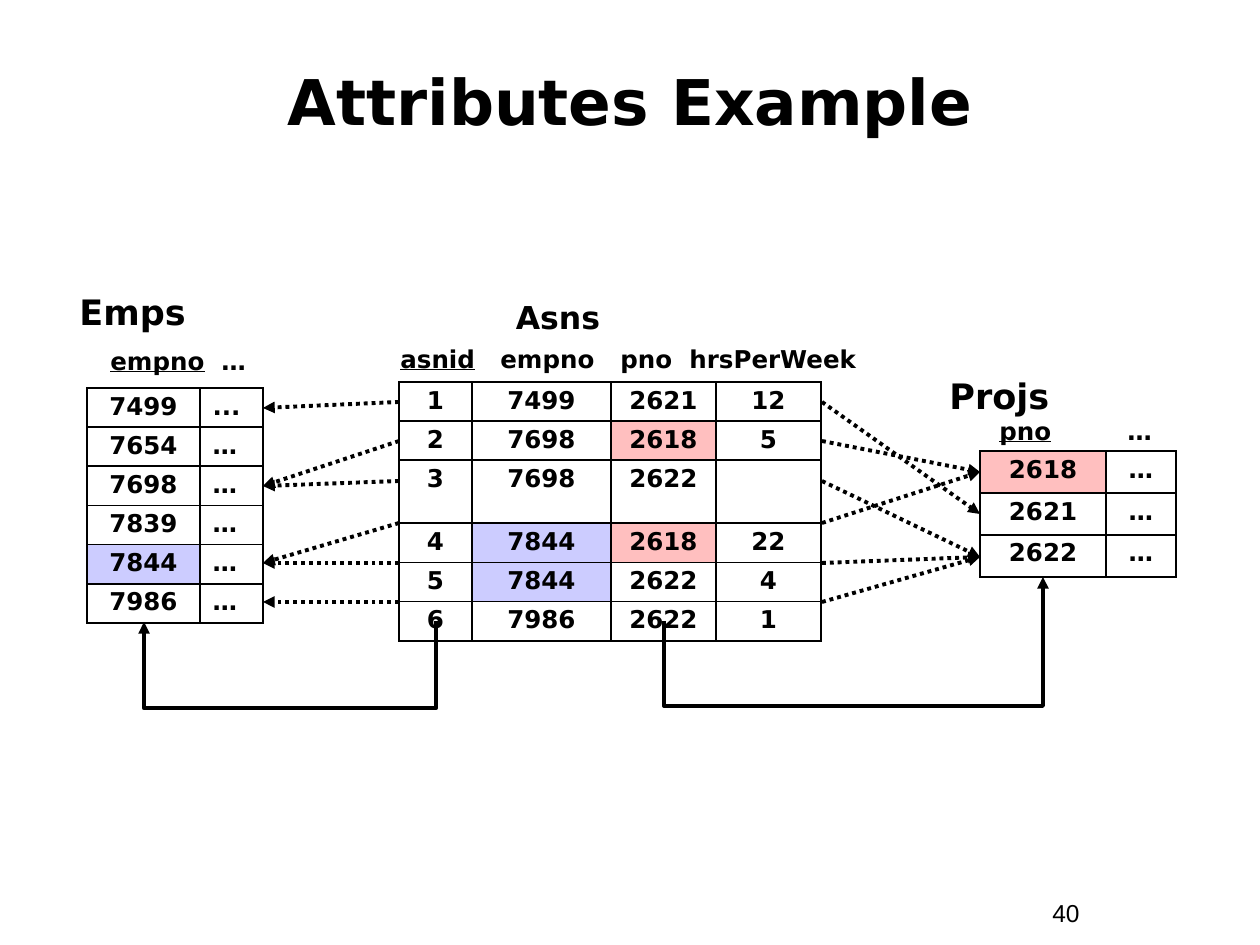
from lxml.etree import SubElement
from pptx import Presentation
from pptx.dml.color import RGBColor
from pptx.enum.dml import MSO_LINE
from pptx.enum.shapes import MSO_CONNECTOR
from pptx.enum.text import MSO_ANCHOR, MSO_AUTO_SIZE, PP_ALIGN
from pptx.oxml.ns import qn
from pptx.util import Emu, Inches, Pt

BLACK = RGBColor(0x00, 0x00, 0x00)
BLUE = RGBColor(0xCC, 0xCC, 0xFF)
PINK = RGBColor(0xFF, 0xBF, 0xBF)
HEADING_FONT = "DejaVu Sans"

EMPS = [["7499", "..."]] + [
    [empno, "…"] for empno in ("7654", "7698", "7839", "7844", "7986")
]
ASNS = [
    ["1", "7499", "2621", "12"],
    ["2", "7698", "2618", "5"],
    ["3", "7698", "2622", ""],
    ["4", "7844", "2618", "22"],
    ["5", "7844", "2622", "4"],
    ["6", "7986", "2622", "1"],
]
PROJS = [[pno, "…"] for pno in ("2618", "2621", "2622")]
HIGHLIGHTS = {"7844": BLUE, "2618": PINK}

ASN_ROW_Y = [402, 441, 481, 523, 563, 602]
EMP_TARGET_Y = [408, 486, 486, 563, 563, 602]
PROJ_TARGET_Y = [514, 472, 557, 472, 557, 557]


def px(length):
    """Turn a length in px into EMU."""
    return Emu(int(length * Inches(1) / 126))


def style_paragraph(paragraph, size, bold=True, font_name=HEADING_FONT, align=PP_ALIGN.LEFT):
    """Set the alignment and font of a paragraph."""
    paragraph.alignment = align
    font = paragraph.font
    font.name, font.size, font.bold = font_name, Pt(size), bold
    font.color.rgb = BLACK


def add_label(slide, box, text, size, **style):
    """Add a one-paragraph text box and return its paragraph."""
    frame = slide.shapes.add_textbox(*map(px, box)).text_frame
    frame.word_wrap = True
    frame.auto_size = MSO_AUTO_SIZE.SHAPE_TO_FIT_TEXT
    paragraph = frame.paragraphs[0]
    paragraph.text = text
    style_paragraph(paragraph, size, **style)
    return paragraph


def add_column_header(slide, box, key, others, stops):
    """Add column names on tab stops, with the key underlined."""
    paragraph = add_label(slide, box, "", 14)
    properties = paragraph._p.get_or_add_pPr()
    tab_list = properties.makeelement(qn("a:tabLst"))
    properties.insert(0, tab_list)
    for stop in stops:
        SubElement(tab_list, qn("a:tab"), pos=str(px(stop)), algn="l")
    key_run = paragraph.add_run()
    key_run.text = key
    key_run.font.underline = True
    other_run = paragraph.add_run()
    other_run.text = "".join("\t" + name for name in others)
    other_run.font.underline = False


def add_borders(cell):
    """Draw a thin black line on all sides of a cell."""
    properties = cell._tc.get_or_add_tcPr()
    for side in ("lnL", "lnR", "lnT", "lnB"):
        border = SubElement(properties, qn(f"a:{side}"), w=str(Pt(1.08)))
        solid = SubElement(border, qn("a:solidFill"))
        SubElement(solid, qn("a:srgbClr"), val=str(BLACK))


def add_relation(slide, left, top, widths, heights, records, aligns):
    """Add a relation as a table, with the shared keys highlighted."""
    box = (left, top, sum(widths), sum(heights))
    table = slide.shapes.add_table(len(heights), len(widths), *map(px, box)).table
    table.first_row = table.horz_banding = False
    for column, width in zip(table.columns, widths):
        column.width = px(width)
    for row, height, record in zip(table.rows, heights, records):
        row.height = px(height)
        for cell, value, align in zip(row.cells, record, aligns):
            add_borders(cell)
            if value in HIGHLIGHTS:
                cell.fill.solid()
                cell.fill.fore_color.rgb = HIGHLIGHTS[value]
            else:
                cell.fill.background()
            paragraph = cell.text_frame.paragraphs[0]
            paragraph.text = value
            style_paragraph(paragraph, 14, align=align)
            paragraph.line_spacing = 0.9


def add_arrow(slide, kind, start, end, dash=None):
    """Add a black connector with an arrowhead at its end."""
    arrow = slide.shapes.add_connector(kind, *map(px, start + end))
    arrow.line.color.rgb = BLACK
    arrow.line.width = Pt(2.25)
    if dash:
        arrow.line.dash_style = dash
    SubElement(arrow.line._get_or_add_ln(), qn("a:tailEnd"), type="triangle")
    SubElement(arrow._element.spPr, qn("a:effectLst"))
    return arrow


def add_reference(slide, start, end, bottom):
    """Add an elbow arrow that runs down to bottom and up again."""
    (start_x, start_y), (end_x, end_y) = start, end
    drop, span = abs(end_y - start_y), abs(end_x - start_x)
    left = (start_x + end_x - drop) / 2
    top = (start_y + end_y - span) / 2
    elbow = add_arrow(
        slide, MSO_CONNECTOR.ELBOW, (left, top), (left + drop, top + span)
    )
    properties = elbow._element.spPr
    frame = properties.find(qn("a:xfrm"))
    frame.set("rot", "5400000")
    frame.set("flipH", str(int(end_y < start_y)))
    frame.set("flipV", str(int(end_x > start_x)))
    guides = properties.find(qn("a:prstGeom")).find(qn("a:avLst"))
    bend = round((bottom - start_y) / (end_y - start_y) * 100000)
    SubElement(guides, qn("a:gd"), name="adj1", fmla=f"val {bend}")


def add_title(slide, text):
    """Place and format the slide title."""
    title = slide.shapes.title
    title.left, title.top, title.width, title.height = map(px, (42, 42, 1176, 116))
    title.text_frame.text = text
    title.text_frame.vertical_anchor = MSO_ANCHOR.MIDDLE
    style_paragraph(title.text_frame.paragraphs[0], 36, align=PP_ALIGN.CENTER)


def main():
    """Build the slide and save it."""
    deck = Presentation()
    deck.slide_width, deck.slide_height = px(1260), px(945)
    slide = deck.slides.add_slide(deck.slide_layouts[5])
    center, left = PP_ALIGN.CENTER, PP_ALIGN.LEFT

    add_title(slide, "Attributes Example")
    add_label(slide, (1040, 892, 116, 43), "40", 14, bold=False, font_name="Arial")

    add_label(slide, (67, 284, 271, 55), "Emps", 20)
    add_column_header(slide, (98, 340, 455, 43), "empno", ["…"], [111])
    add_relation(slide, 87, 388, [113, 63], [39] * 6, EMPS, [center, left])

    add_column_header(
        slide, (388, 338, 514, 43), "asnid", ["empno", "pno", "hrsPerWeek"], [100, 220, 289]
    )
    add_label(slide, (415, 292, 286, 50), "Asns", 18, align=center)
    asn_heights = [39, 39, 63, 39, 39, 39]
    add_relation(slide, 399, 382, [73, 139, 105, 105], asn_heights, ASNS, [center] * 4)

    add_relation(slide, 980, 451, [126, 70], [42] * 3, PROJS, [center] * 2)
    add_label(slide, (937, 368, 210, 55), "Projs", 20)
    add_column_header(slide, (987, 410, 210, 43), "pno", ["…"], [128])

    for asn_y, emp_y, proj_y in zip(ASN_ROW_Y, EMP_TARGET_Y, PROJ_TARGET_Y):
        for start, end in (((822, asn_y), (980, proj_y)), ((399, asn_y), (263, emp_y))):
            add_arrow(slide, MSO_CONNECTOR.STRAIGHT, start, end, MSO_LINE.ROUND_DOT)

    add_reference(slide, (664, 621), (1043, 577), 706)
    add_reference(slide, (436, 621), (144, 622), 709)
    deck.save("out.pptx")


if __name__ == "__main__":
    main()
